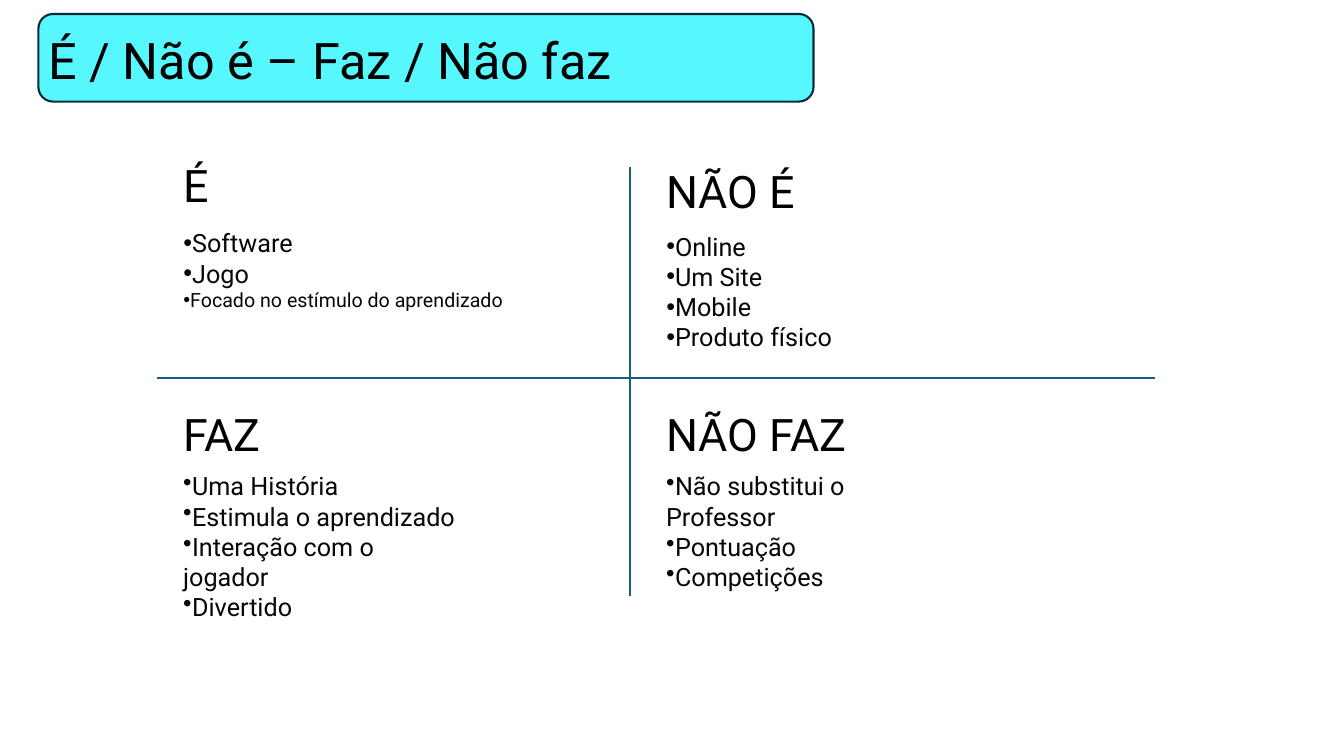
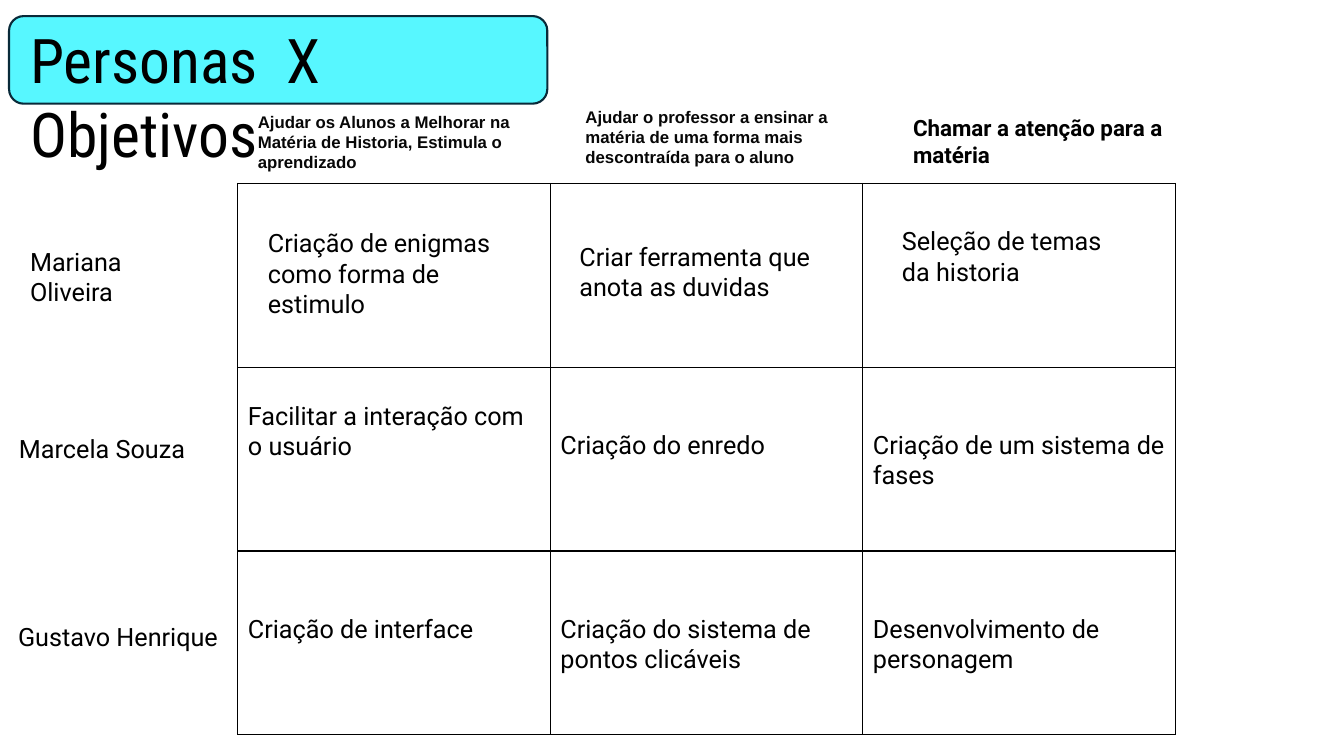
from lxml import etree
from pptx import Presentation
from pptx import util as u
from pptx.dml import color as dml
from pptx.enum import shapes, text
from pptx.oxml import ns

COLORS = {
    "band": "57F7FF",
    "band_line": "092A39",
    "axis": "156082",
    "black": "000000",
    "ink": "070707",
    "white": "FFFFFF",
}
Pt = u.Pt


def write(frame, lines, size=18, font="Roboto", color="black", bold=False, bullet=False):
    frame.word_wrap = True
    frame.auto_size = text.MSO_AUTO_SIZE.NONE
    frame.vertical_anchor = text.MSO_ANCHOR.TOP
    for index, line in enumerate(lines):
        content, line_size = line if isinstance(line, tuple) else (line, size)
        paragraph = frame.paragraphs[0] if index == 0 else frame.add_paragraph()
        paragraph.alignment = text.PP_ALIGN.LEFT
        paragraph.space_before = Pt(0)
        properties = paragraph._p.get_or_add_pPr()
        properties.set("marL", "0")
        properties.set("indent", "0")
        if bullet:
            etree.SubElement(properties, ns.qn("a:buChar")).set("char", "•")
        else:
            etree.SubElement(properties, ns.qn("a:buNone"))
        run = paragraph.add_run()
        run.text = content
        run.font.size = Pt(line_size)
        run.font.name = font
        run.font.bold = bold
        run.font.color.rgb = dml.RGBColor.from_string(COLORS[color])


def add_titled_slide(layout, title, band_box, title_box, **style):
    slide = presentation.slides.add_slide(presentation.slide_layouts[layout])
    band = slide.shapes.add_shape(
        shapes.MSO_SHAPE.ROUNDED_RECTANGLE, *map(Pt, band_box))
    band.shadow.inherit = False
    band.fill.solid()
    band.fill.fore_color.rgb = dml.RGBColor.from_string(COLORS["band"])
    band.line.color.rgb = dml.RGBColor.from_string(COLORS["band_line"])
    band.line.width = Pt(1.5)
    holder = slide.shapes.title
    holder.left, holder.top, holder.width, holder.height = map(Pt, title_box)
    holder._element.addprevious(band._element)
    write(holder.text_frame, [title], **style)
    return slide


presentation = Presentation()
presentation.slide_width = Pt(960)
presentation.slide_height = Pt(540)

slide = add_titled_slide(4, "É / Não é – Faz / Não faz",
                         (27.4, 10, 553.7, 62.6), (27.4, 17.3, 558.7, 51), size=36)

for ends in [(450, 119.5, 450, 425.5), (112.3, 270, 825, 270)]:
    axis = slide.shapes.add_connector(shapes.MSO_CONNECTOR.STRAIGHT, *map(Pt, ends))
    axis.line.color.rgb = dml.RGBColor.from_string(COLORS["axis"])
    axis.line.width = Pt(1.5)
    etree.SubElement(axis._element.spPr, ns.qn("a:effectLst"))

left_column, right_column = 123.8, 468.7
quadrants = [
    ("É", left_column, 108.7, 159.1, 299,
     ["Software", "Jogo", ("Focado no estímulo do aprendizado", 14)]),
    ("NÃO É", right_column, 113, 161.3, 284,
     ["Online", "Um Site", "Mobile", "Produto físico"]),
    ("FAZ", left_column, 287.3, 332.6, 211,
     ["Uma História", "Estimula o aprendizado", "Interação com o jogador", "Divertido"]),
    ("NÃO FAZ", right_column, 287.3, 332.6, 218,
     ["Não substitui o Professor", "Pontuação", "Competições"]),
]
holders = list(slide.placeholders)[1:]
holders += [slide.shapes.add_textbox(0, 0, 0, 0) for _ in range(4)]
for index, (heading, left, heading_top, list_top, width, items) in enumerate(quadrants):
    heading_shape, list_shape = holders[2 * index:2 * index + 2]
    for shape, top, shape_width, height in [
            (heading_shape, heading_top, 232, 46),
            (list_shape, list_top, width, 22 * len(items) + 8)]:
        shape.left, shape.top = Pt(left), Pt(top)
        shape.width, shape.height = Pt(shape_width), Pt(height)
    write(heading_shape.text_frame, [heading], size=32)
    write(list_shape.text_frame, items, color="ink", bullet=True)

slide = add_titled_slide(5, "Personas  X  Objetivos",
                         (6.5, 11.5, 384.5, 62.6), (14.4, 12.2, 360, 60.5),
                         size=44, font="Roboto Condensed")

cells = [
    [None, None, None],
    [("Facilitar a interação com o usuário", 25), ("Criação do enredo", 46),
     ("Criação de um sistema de fases", 46)],
    [("Criação de interface", 46), ("Criação do sistema de pontos clicáveis", 46),
     ("Desenvolvimento de personagem", 46)],
]
table = slide.shapes.add_table(3, 3, Pt(169.9), Pt(131), Pt(669.6), Pt(393.9)).table
table.first_row = False
table.horz_banding = False
for row, contents in enumerate(cells):
    for column, content in enumerate(contents):
        cell = table.cell(row, column)
        properties = cell._tc.get_or_add_tcPr()
        for side in ("lnL", "lnR", "lnT", "lnB"):
            border = etree.SubElement(properties, ns.qn(f"a:{side}"), w=str(Pt(1)))
            fill = etree.SubElement(border, ns.qn("a:solidFill"))
            etree.SubElement(fill, ns.qn("a:srgbClr"), val=COLORS["black"])
        cell.fill.solid()
        cell.fill.fore_color.rgb = dml.RGBColor.from_string(COLORS["white"])
        if content:
            label, margin = content
            cell.margin_top = Pt(margin)
            write(cell.text_frame, [label])

objective = dict(size=12, font="Arial", color="ink", bold=True)
labels = [
    ("Ajudar os Alunos a Melhorar na Matéria de Historia, Estimula o aprendizado",
     (177.1, 76.3, 194.4, 51), objective),
    ("Ajudar o professor a ensinar a matéria de uma forma mais descontraída para o aluno",
     (411.1, 72.7, 194.4, 51), objective),
    ("Chamar a atenção para a matéria", (645.1, 77.8, 194.4, 46), dict(size=16, bold=True)),
    ("Mariana Oliveira", (14.4, 172.1, 138, 50), {}),
    ("Marcela Souza", (6.5, 306, 156.2, 29), {}),
    ("Gustavo Henrique", (5.8, 440.6, 164.2, 29), {}),
    ("Criação de enigmas como forma de estimulo", (184.3, 159.1, 187.2, 94.3), {}),
    ("Criar ferramenta que anota as duvidas", (406.8, 168.5, 211, 72.7), {}),
    ("Seleção de temas da historia", (637.2, 157.7, 163.4, 72.7), {}),
]
for label, box, style in labels:
    shape = slide.shapes.add_textbox(*map(Pt, box))
    write(shape.text_frame, [label], **style)

presentation.save("out.pptx")
